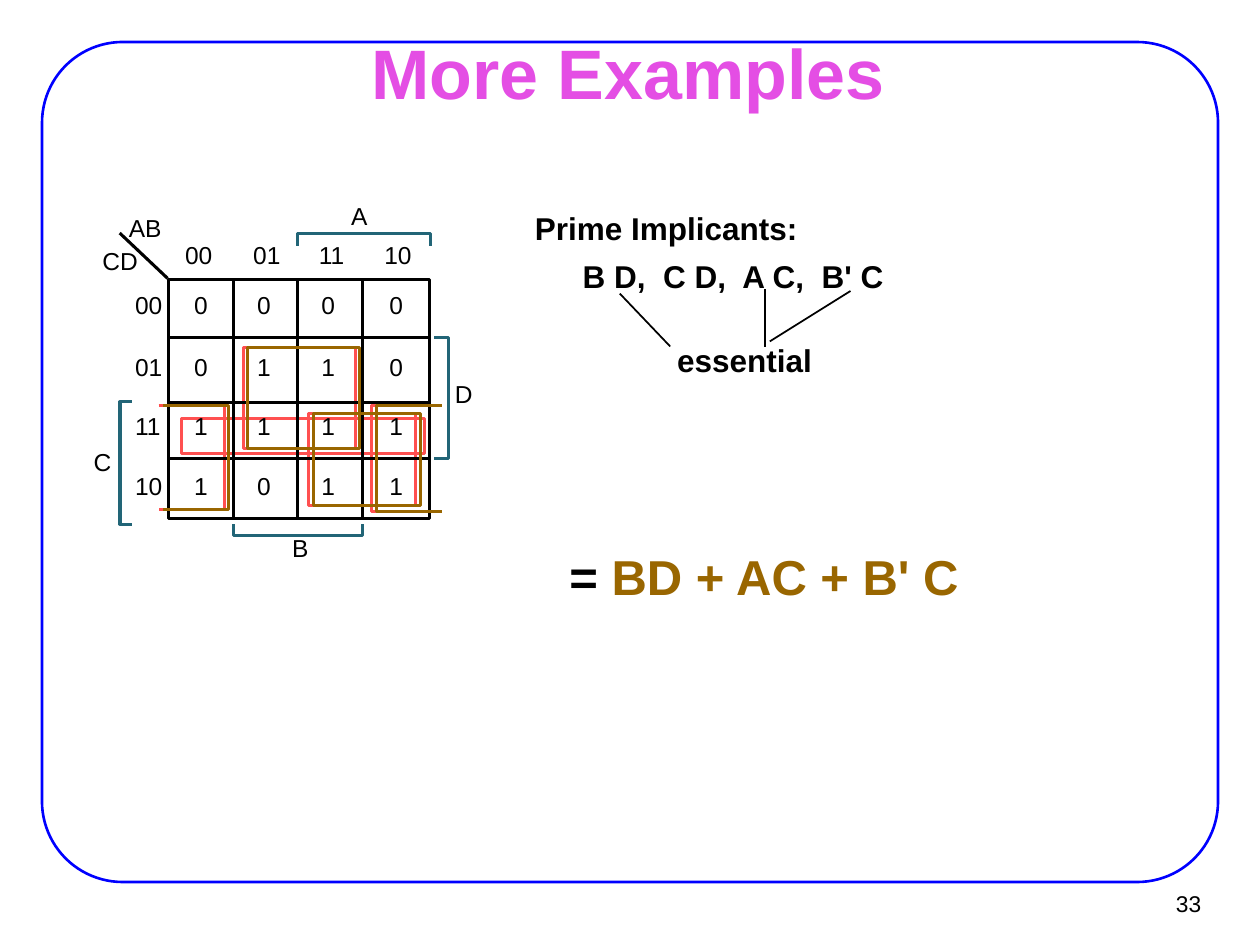
"""Build a slide that minimises a Karnaugh map with its prime implicants."""
from dataclasses import dataclass

from lxml import etree
from pptx import Presentation
from pptx.dml.color import RGBColor
from pptx.enum import shapes, text
from pptx.oxml.ns import qn
from pptx.util import Pt

COLORS = {"ink": "000000", "frame": "0000FF", "title": "E44EE4",
          "loop": "FF5050", "essential": "996600", "bracket": "226577"}
FONT = "Arial"
LOOP_SHIFT = 2.6
GRID_LINE = 1.75


@dataclass
class Label:
    x: float
    y: float
    w: float
    h: float
    runs: list[tuple[str, str]]
    size: float = 14
    bold: bool = False
    inset: tuple[float, float] = (0, 0)
    spacing: float = 1.0


@dataclass
class Box:
    x: float
    y: float
    w: float
    h: float


@dataclass
class Line:
    x1: float
    y1: float
    x2: float
    y2: float
    width: float = GRID_LINE


def rgb(name: str) -> RGBColor:
    return RGBColor.from_string(COLORS[name])


def style_run(r, size: float, color: str, bold: bool) -> None:
    r.font.name, r.font.size, r.font.bold = FONT, Pt(size), bold
    r.font.color.rgb = rgb(color)


def set_insets(tf, side: float, end: float) -> None:
    tf.margin_left = tf.margin_right = Pt(side)
    tf.margin_top = tf.margin_bottom = Pt(end)


def outline(sp, color: str, width: float = GRID_LINE) -> None:
    sp.shadow.inherit = False
    sp.fill.background()
    sp.line.color.rgb = rgb(color)
    sp.line.width = Pt(width)


def draw_label(s, label: Label):
    sp = s.shapes.add_textbox(Pt(label.x), Pt(label.y), Pt(label.w), Pt(label.h))
    tf = sp.text_frame
    tf.word_wrap = False
    tf.auto_size = text.MSO_AUTO_SIZE.SHAPE_TO_FIT_TEXT
    set_insets(tf, *label.inset)
    p = tf.paragraphs[0]
    p.line_spacing = label.spacing
    for words, color in label.runs:
        r = p.add_run()
        r.text = words
        style_run(r, label.size, color, label.bold)
    return sp


def draw_small(s, words: str, x: float, y: float, w: float) -> None:
    draw_label(s, Label(x, y, w, 16.6, [(words, "ink")]))


def draw_box(s, box: Box, color: str, dx: float = 0) -> None:
    sp = s.shapes.add_shape(shapes.MSO_SHAPE.RECTANGLE,
                            Pt(box.x + dx), Pt(box.y), Pt(box.w), Pt(box.h))
    outline(sp, color)


def draw_path(s, points: list[tuple[float, float]], color: str, dx: float = 0) -> None:
    (x, y), *rest = [(Pt(px + dx), Pt(py)) for px, py in points]
    fb = s.shapes.build_freeform(x, y)
    fb.add_line_segments(rest, close=False)
    outline(fb.convert_to_shape(), color)


def draw_line(s, line: Line) -> None:
    cx = s.shapes.add_connector(shapes.MSO_CONNECTOR.STRAIGHT,
                                Pt(line.x1), Pt(line.y1), Pt(line.x2), Pt(line.y2))
    cx.line.color.rgb = rgb("ink")
    cx.line.width = Pt(line.width)
    etree.SubElement(cx._element.spPr, qn("a:effectLst"))


WRAPS = [
    [(249.8, 231.8), (212.4, 231.8), (212.4, 292.5), (249.8, 292.5)],
    [(90.7, 231.8), (128.2, 231.8), (128.2, 290.9), (90.7, 290.9)],
]
CD_LOOP = Box(103.7, 239, 139, 20.4)
ESSENTIAL_LOOPS = [Box(139, 198.7, 64.1, 57.6), Box(176.4, 236.2, 61.2, 52.6)]

GRID = Box(96.5, 159.8, 149, 136.8)
GRID_LINES = (
    [Line(95.8, y, 244.8, y) for y in (229.9, 193, 262.1)]
    + [Line(x, 159.1, x, 295.9) for x in (170.2, 207.4, 133.2)]
    + [Line(95.8, 159.1, 68.4, 133.2)]
)
BRACKETS = [
    [(169.9, 140.4), (169.9, 133.2), (246.2, 133.2), (246.2, 140.4)],
    [(75.4, 299.5), (68.6, 299.5), (68.6, 229.7), (75.4, 229.7)],
    [(207.4, 299.5), (207.4, 306), (133.2, 306), (133.2, 299.5)],
    [(248.2, 193), (256.5, 193), (256.5, 262.1), (248.2, 262.1)],
]
CODES = ["00", "01", "11", "10"]
HEADER_X = [105.8, 144.7, 182.2, 219.6]
CELL_X = [110.9, 146.9, 183.6, 222.5]
ROW_Y = [165.6, 201.3, 235, 269.3]
CELLS = ["0000", "0110", "1111", "1011"]
VARIABLES = [("AB", 73.6, 121.7, 22.3), ("CD", 58.5, 140.4, 24.5),
             ("A", 200.7, 114.8, 13.7), ("B", 167, 304.6, 13.7),
             ("C", 53.5, 255.6, 14.4), ("D", 259.9, 216.7, 14.4)]

NOTE = {"bold": True, "inset": (5, 2.2), "spacing": 0.85}
NOTES = [
    Label(300.7, 120.6, 164, 22.3, [("Prime Implicants:", "ink")], 18, **NOTE),
    Label(328, 147.9, 184, 22.3, [("B D,  C D,  A C,  B' C", "ink")], 18, **NOTE),
    Label(382, 195.8, 88, 22.3, [("essential", "ink")], 18, **NOTE),
    Label(320.4, 315.4, 233.3, 32.4,
          [("= ", "ink"), ("BD + AC + B' C", "essential")], 28, **NOTE),
]
POINTERS = [Line(383, 198, 354.2, 167.8, 1), Line(437, 198, 437, 164.9, 1),
            Line(439.9, 195.1, 486, 166.3, 1)]


def draw_title(s) -> None:
    sp = s.shapes.title
    sp.left, sp.top, sp.width, sp.height = Pt(207), Pt(14.8), Pt(303.8), Pt(51.8)
    tf = sp.text_frame
    tf.text = "More Examples"
    tf.word_wrap = True
    tf.auto_size = text.MSO_AUTO_SIZE.SHAPE_TO_FIT_TEXT
    tf.vertical_anchor = text.MSO_ANCHOR.TOP
    set_insets(tf, 5, 2.2)
    p = tf.paragraphs[0]
    p.alignment = text.PP_ALIGN.CENTER
    style_run(p.runs[0], 40, "title", True)


def draw_frame(s) -> None:
    sp = s.shapes.add_shape(shapes.MSO_SHAPE.ROUNDED_RECTANGLE,
                            Pt(24), Pt(24), Pt(672), Pt(480))
    sp.adjustments[0] = 0.096
    outline(sp, "frame", 1.5)
    number = draw_label(s, Label(649, 503, 43.9, 26.6, [("33", "ink")], 13,
                                 inset=(6.5, 3)))
    number.text_frame.auto_size = text.MSO_AUTO_SIZE.NONE
    number.text_frame.vertical_anchor = text.MSO_ANCHOR.MIDDLE
    number.text_frame.paragraphs[0].alignment = text.PP_ALIGN.RIGHT


def draw_loops(s, color: str, dx: float = 0) -> None:
    for points in WRAPS:
        draw_path(s, points, color, dx)
    for box in ESSENTIAL_LOOPS:
        draw_box(s, box, color, dx)


def draw_map(s) -> None:
    draw_box(s, GRID, "ink")
    for line in GRID_LINES:
        draw_line(s, line)
    for code, x, y in zip(CODES, HEADER_X, ROW_Y):
        draw_small(s, code, x, 137, 19.4)
        draw_small(s, code, 77.2, y, 19.4)
    for row, y in zip(CELLS, ROW_Y):
        for value, x in zip(row, CELL_X):
            draw_small(s, value, x, y, 11.5)
    for points in BRACKETS:
        draw_path(s, points, "bracket")
    for name, x, y, w in VARIABLES:
        draw_small(s, name, x, y, w)


def main() -> None:
    prs = Presentation()
    prs.slide_width, prs.slide_height = Pt(720), Pt(540)
    s = prs.slides.add_slide(prs.slide_layouts[5])
    draw_frame(s)
    draw_title(s)
    for label in NOTES:
        draw_label(s, label)
    for line in POINTERS:
        draw_line(s, line)
    draw_box(s, CD_LOOP, "loop")
    draw_loops(s, "loop")
    draw_map(s)
    draw_loops(s, "essential", LOOP_SHIFT)
    prs.save("out.pptx")


if __name__ == "__main__":
    main()
